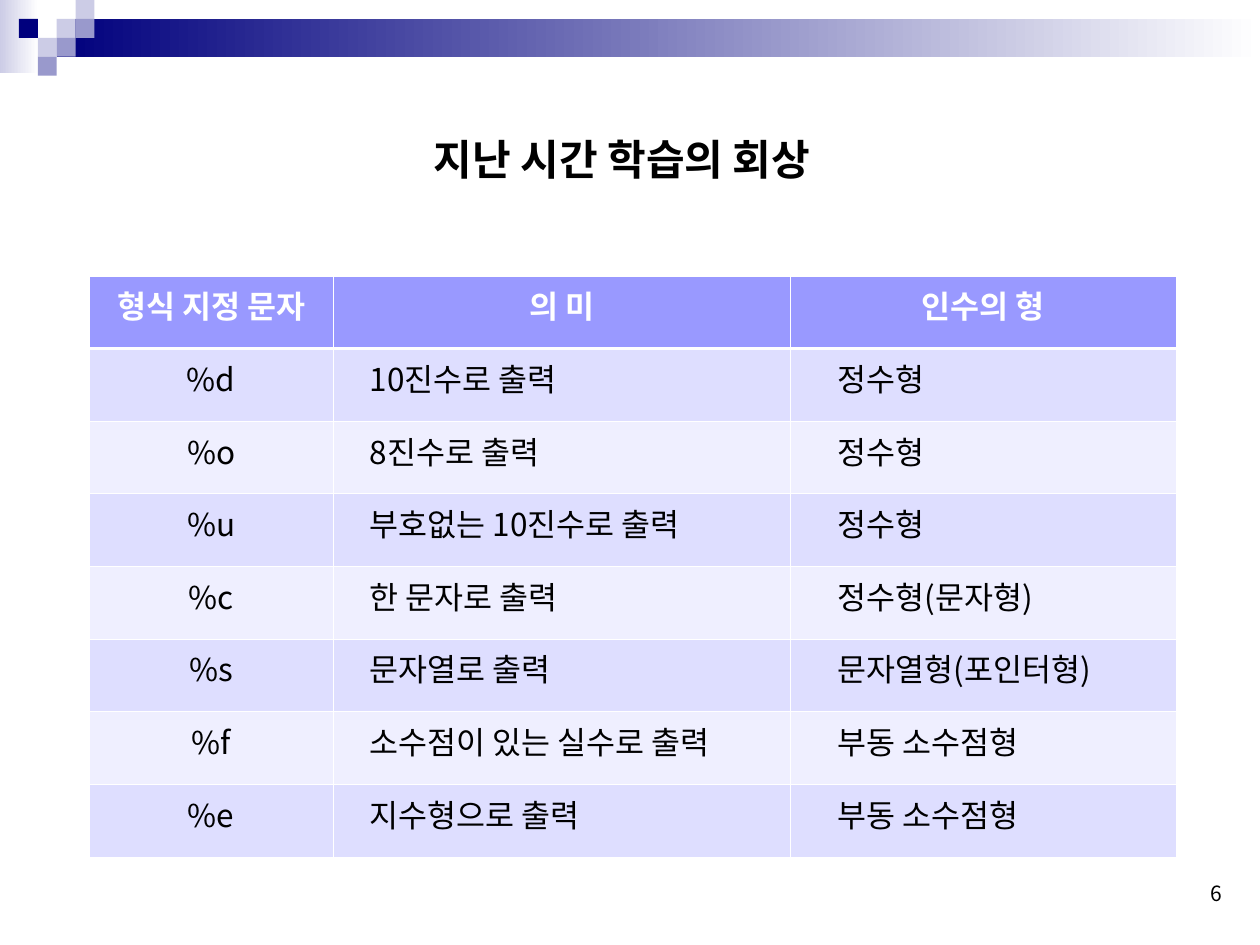
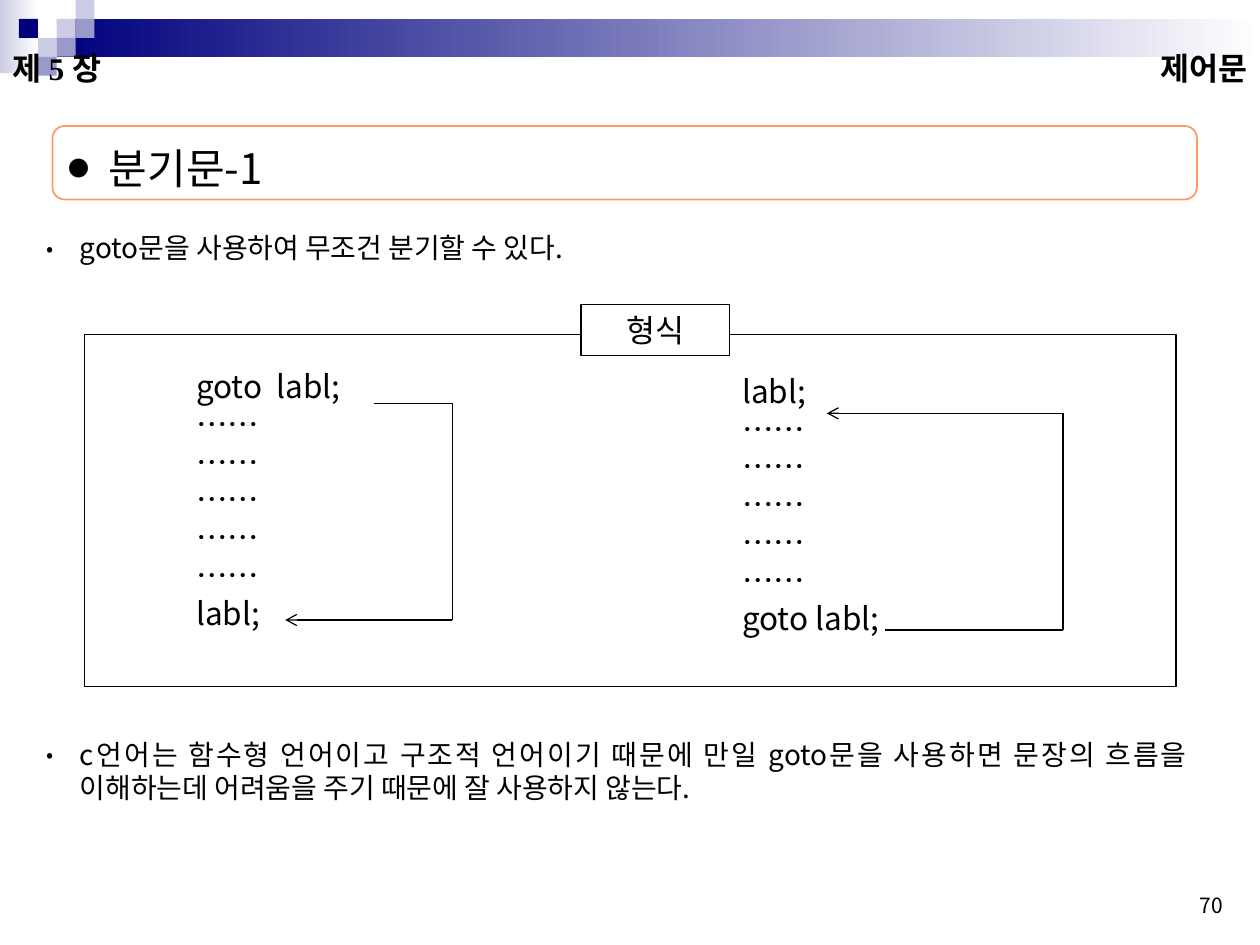
"""Build two C lecture slides: a format specifier table and the goto statement."""
from dataclasses import dataclass

from lxml import etree
from pptx import Presentation
from pptx.dml.color import RGBColor
from pptx.enum.shapes import MSO_CONNECTOR, MSO_SHAPE
from pptx.enum.text import MSO_ANCHOR, MSO_AUTO_SIZE, PP_ALIGN
from pptx.oxml.ns import qn
from pptx.util import Pt

LEFT, CENTER, RIGHT, JUSTIFY = PP_ALIGN.LEFT, PP_ALIGN.CENTER, PP_ALIGN.RIGHT, PP_ALIGN.JUSTIFY
TOP, MIDDLE, BOTTOM = MSO_ANCHOR.TOP, MSO_ANCHOR.MIDDLE, MSO_ANCHOR.BOTTOM
RECTANGLE, ROUNDED = MSO_SHAPE.RECTANGLE, MSO_SHAPE.ROUNDED_RECTANGLE
STRAIGHT = MSO_CONNECTOR.STRAIGHT
NO_AUTOFIT = MSO_AUTO_SIZE.NONE
TITLE_ONLY, TWO_CONTENT = 5, 3


@dataclass(frozen=True)
class Theme:
    sans: str = "Noto Sans CJK KR"
    serif: str = "Times New Roman"
    black: str = "000000"
    white: str = "FFFFFF"
    navy: str = "00007D"
    lavender: str = "CCCCE6"
    violet: str = "9999CC"
    orange: str = "FF9966"
    header: str = "9999FF"
    bands: tuple = ("DEDEFF", "EFEFFF")
    title_size: int = 24
    text_size: int = 18
    list_size: int = 16
    number_size: int = 12
    tight_spacing: float = 1.2
    thin: float = 0.75
    border: float = 0.45
    header_border: float = 1.47


FORMAT_ROWS = [
    ("형식 지정 문자", "의 미", "인수의 형"),
    ("%d", "10진수로 출력", "정수형"),
    ("%o", "8진수로 출력", "정수형"),
    ("%u", "부호없는 10진수로 출력", "정수형"),
    ("%c", "한 문자로 출력", "정수형(문자형)"),
    ("%s", "문자열로 출력", "문자열형(포인터형)"),
    ("%f", "소수점이 있는 실수로 출력", "부동 소수점형"),
    ("%e", "지수형으로 출력", "부동 소수점형"),
]
SKIPPED_LINES = ["……"] * 5


class Deck:
    """Holds the theme and the current slide and draws each kind of element."""

    def __init__(self, theme):
        self.theme = theme
        self.presentation = Presentation()
        self.presentation.slide_width, self.presentation.slide_height = Pt(720), Pt(540)
        self.slide = None

    def add_slide(self, layout, number, number_box):
        layouts = self.presentation.slide_layouts
        self.slide = self.presentation.slides.add_slide(layouts[layout])
        self.corner_band()
        self.text_box(number_box, [number], size=self.theme.number_size,
                      align=RIGHT, anchor=BOTTOM)

    def corner_band(self):
        theme = self.theme
        self.box((0, 0, 22, 42), gradient=(theme.lavender, theme.white))
        self.box((32.4, 10.8, 687.6, 21.6), gradient=(theme.navy, theme.white))
        side = 10.8
        squares = [(3, 1, theme.lavender), (4, 0, theme.lavender), (4, 1, theme.violet),
                   (2, 2, theme.lavender), (1, 1, theme.navy), (3, 2, theme.violet),
                   (2, 3, theme.violet)]
        for column, row, color in squares:
            self.box((column * side, row * side, side, side), fill=color)

    def box(self, bounds, kind=RECTANGLE, fill=None, gradient=None, line=None, weight=0.75):
        shape = self.slide.shapes.add_shape(kind, *map(Pt, bounds))
        shape.shadow.inherit = False
        if gradient:
            shape.fill.gradient()
            shape.fill.gradient_angle = 0
            for stop, color in zip(shape.fill.gradient_stops, gradient):
                stop.color.rgb = RGBColor.from_string(color)
        elif fill:
            shape.fill.solid()
            shape.fill.fore_color.rgb = RGBColor.from_string(fill)
        else:
            shape.fill.background()
        if line:
            shape.line.color.rgb = RGBColor.from_string(line)
            shape.line.width = Pt(weight)
        else:
            shape.line.fill.background()
        return shape

    def style(self, paragraph, size=None, font=None, color=None, bold=False,
              align=LEFT, spacing=None):
        paragraph.alignment = align
        paragraph.space_before = paragraph.space_after = Pt(0)
        paragraph.line_spacing = spacing
        for run in paragraph.runs:
            run.font.size = Pt(size or self.theme.text_size)
            run.font.bold = bold
            run.font.name = font or self.theme.sans
            run.font.color.rgb = RGBColor.from_string(color or self.theme.black)
            properties = run._r.get_or_add_rPr()
            properties.find(qn("a:latin")).addnext(
                etree.Element(qn("a:ea"), typeface=self.theme.sans))

    def set_text(self, shape, lines, anchor=MIDDLE, inset=3.6, bullet=None, **style):
        text_frame = shape.text_frame
        text_frame.text = "\n".join(lines)
        text_frame.word_wrap = True
        text_frame.auto_size = NO_AUTOFIT
        text_frame.vertical_anchor = anchor
        text_frame.margin_left = text_frame.margin_right = Pt(7.2)
        text_frame.margin_top = text_frame.margin_bottom = Pt(inset)
        for paragraph in text_frame.paragraphs:
            if bullet:
                self.bullet(paragraph, *bullet)
            self.style(paragraph, **style)

    def bullet(self, paragraph, symbol, percent, hang):
        properties = paragraph._p.get_or_add_pPr()
        properties.set("marL", str(Pt(hang)))
        properties.set("indent", str(-Pt(hang)))
        color = etree.SubElement(properties, qn("a:buClr"))
        etree.SubElement(color, qn("a:srgbClr"), val=self.theme.black)
        etree.SubElement(properties, qn("a:buSzPct"), val=str(percent * 1000))
        etree.SubElement(properties, qn("a:buFont"), typeface=self.theme.sans)
        etree.SubElement(properties, qn("a:buChar"), char=symbol)

    def text_box(self, bounds, lines, **options):
        self.set_text(self.slide.shapes.add_textbox(*map(Pt, bounds)), lines, **options)

    def placeholder(self, index, bounds, text, **options):
        shape = self.slide.placeholders[index]
        shape.left, shape.top, shape.width, shape.height = map(Pt, bounds)
        self.set_text(shape, [text], **options)

    def title(self, bounds, text, **options):
        self.placeholder(0, bounds, text, size=self.theme.title_size, **options)

    def list_item(self, index, bounds, text):
        size = self.theme.list_size
        self.placeholder(index, bounds, text, anchor=TOP, bullet=("•", 75, 19), size=size,
                         align=JUSTIFY, spacing=Pt(size * self.theme.tight_spacing))

    def code(self, bounds, lines):
        spacing = Pt(self.theme.text_size * self.theme.tight_spacing)
        self.text_box(bounds, lines, anchor=TOP, spacing=spacing)

    def jump(self, points):
        for start, end in zip(points, points[1:]):
            connector = self.slide.shapes.add_connector(STRAIGHT, *map(Pt, start + end))
            connector.line.color.rgb = RGBColor.from_string(self.theme.black)
            connector.line.width = Pt(self.theme.thin)
            etree.SubElement(connector._element.spPr, qn("a:effectLst"))
        etree.SubElement(connector.line._get_or_add_ln(), qn("a:tailEnd"), type="arrow")

    def cell_border(self, cell, side, weight):
        line = etree.SubElement(cell._tc.get_or_add_tcPr(), qn(f"a:ln{side}"),
                                w=str(Pt(weight)))
        fill = etree.SubElement(line, qn("a:solidFill"))
        etree.SubElement(fill, qn("a:srgbClr"), val=self.theme.white)

    def table(self, left, top, widths, row_height, rows, indents):
        theme = self.theme
        table = self.slide.shapes.add_table(
            len(rows), len(widths), Pt(left), Pt(top),
            Pt(sum(widths)), Pt(row_height * len(rows))).table
        table.horz_banding = False
        for column, width in zip(table.columns, widths):
            column.width = Pt(width)
        for row_index, row in enumerate(rows):
            table.rows[row_index].height = Pt(row_height)
            is_header = row_index == 0
            fill = theme.header if is_header else theme.bands[(row_index - 1) % 2]
            heavy_side = {0: "B", 1: "T"}.get(row_index)
            for column_index, text in enumerate(row):
                cell = table.cell(row_index, column_index)
                for side in "LRTB":
                    weight = theme.header_border if side == heavy_side else theme.border
                    self.cell_border(cell, side, weight)
                cell.fill.solid()
                cell.fill.fore_color.rgb = RGBColor.from_string(fill)
                cell.text_frame.text = text
                centered = is_header or column_index == 0
                cell.margin_left = Pt(7.2 if centered else indents[column_index])
                self.style(cell.text_frame.paragraphs[0], bold=is_header,
                           color=theme.white if is_header else theme.black,
                           align=CENTER if centered else LEFT)


def build_format_slide(deck):
    deck.add_slide(TITLE_ONLY, "6", (535.7, 485.3, 170, 36))
    deck.title((172.5, 60.5, 366, 60), "지난 시간 학습의 회상",
               font=deck.theme.serif, bold=True, align=CENTER)
    deck.table(50.9, 157.7, (139.5, 261.2, 220.5), 41.5, FORMAT_ROWS, (7.2, 21, 27))


def build_goto_slide(deck):
    theme = deck.theme
    deck.add_slide(TWO_CONTENT, "70", (516, 491.8, 190, 36))
    deck.text_box((0, 18, 156, 42), ["제 5 장"], font=theme.serif, bold=True)
    deck.text_box((468, 18, 252, 42), ["제어문"], font=theme.serif, bold=True, align=RIGHT)

    deck.box((30, 72, 654, 42), ROUNDED, line=theme.orange, weight=1)
    deck.title((32, 72, 650, 42), "분기문-1", inset=0, bullet=("●", 50, 23),
               spacing=theme.tight_spacing)
    deck.list_item(1, (19.5, 128.2, 670, 27), "goto문을 사용하여 무조건 분기할 수 있다.")

    deck.box((48.5, 191, 623.5, 201.5), line=theme.black, weight=theme.thin)
    label = deck.box((332, 174, 85, 29), fill=theme.white, line=theme.black,
                     weight=theme.thin)
    deck.set_text(label, ["형식"], inset=0, font=theme.serif, align=CENTER)
    deck.code((105, 206.2, 170, 160), ["goto  labl;", *SKIPPED_LINES, "labl;"])
    deck.code((417, 209, 170, 160), ["labl;", *SKIPPED_LINES, "goto labl;"])
    deck.jump([(214, 230.5), (258.5, 230.5), (258.5, 354.3), (163, 354.3)])
    deck.jump([(506, 360), (607.5, 360), (607.5, 236.2), (472.5, 236.2)])

    deck.list_item(2, (19.5, 417.6, 666, 46),
                   "c언어는 함수형 언어이고 구조적 언어이기 때문에 만일 goto문을 사용하면 "
                   "문장의 흐름을 이해하는데 어려움을 주기 때문에 잘 사용하지 않는다.")


def main():
    deck = Deck(Theme())
    build_format_slide(deck)
    build_goto_slide(deck)
    deck.presentation.save("out.pptx")


if __name__ == "__main__":
    main()
